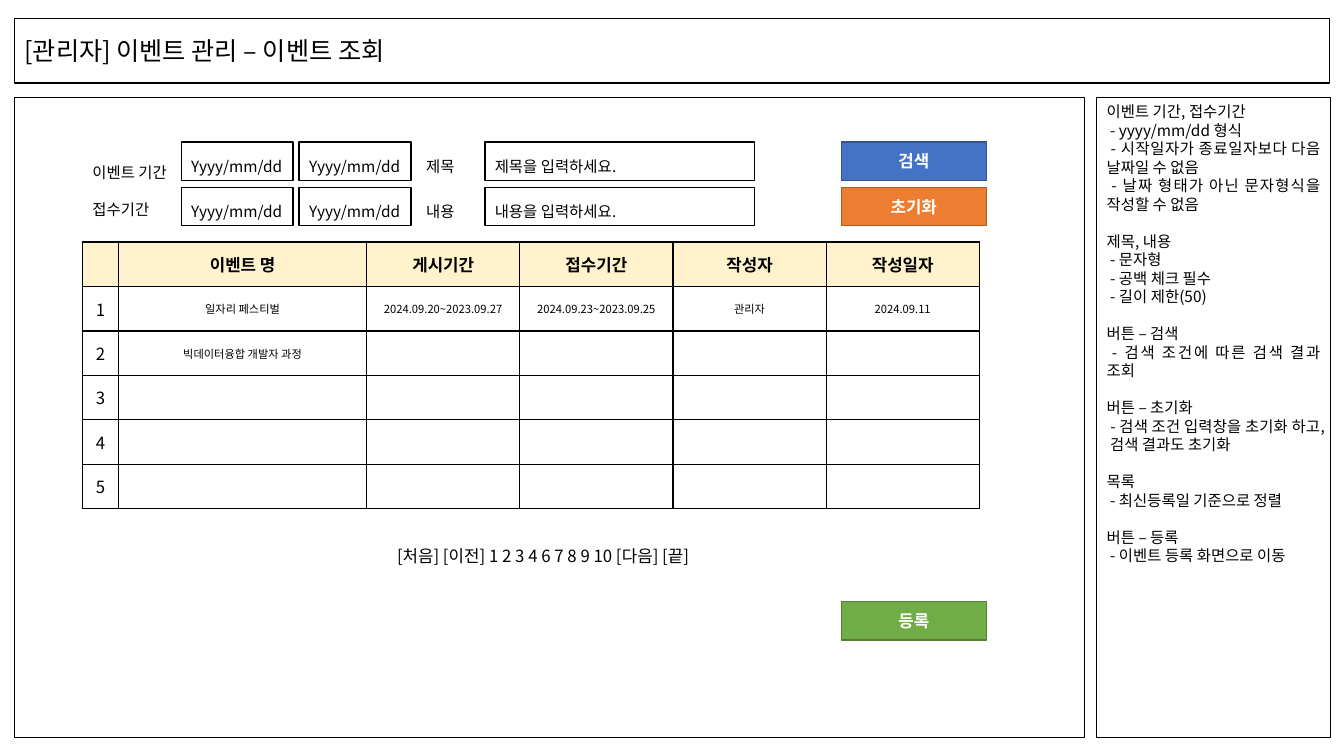
import pptx
import pptx.dml.color
import pptx.enum.shapes
import pptx.enum.text
import pptx.oxml.ns
import pptx.util
from lxml import etree

Cm, Pt = pptx.util.Cm, pptx.util.Pt
qn = pptx.oxml.ns.qn
RGB = pptx.dml.color.RGBColor.from_string
ALIGN = pptx.enum.text.PP_ALIGN
ANCHOR = pptx.enum.text.MSO_ANCHOR

FONT = "Noto Sans CJK KR"
COLORS = {
    "black": "000000", "white": "FFFFFF", "header": "FFF2CC",
    "blue": "4472C4", "blue edge": "325491",
    "orange": "ED7D31", "orange edge": "AF5C24",
    "green": "70AD47", "green edge": "538035",
}


def write(frame, lines, size, align=ALIGN.LEFT, color="black", bold=False, spacing=None):
    """Fill a text frame with one paragraph per line."""
    for index, line in enumerate(lines):
        para = frame.paragraphs[0] if index == 0 else frame.add_paragraph()
        para.text = line
        para.alignment = align
        if spacing:
            para.line_spacing = Pt(spacing)
        para.font.size = Pt(size)
        para.font.bold = bold
        para.font.color.rgb = RGB(COLORS[color])
        para.font.name = FONT
        defaults = para._p.pPr.find(qn("a:defRPr"))
        etree.SubElement(defaults, qn("a:ea"), typeface=FONT)


def add_box(left, top, width, height, fill="white", edge="black"):
    """Draw a rectangle, lengths in centimetres."""
    box = page.shapes.add_shape(pptx.enum.shapes.MSO_SHAPE.RECTANGLE,
                                Cm(left), Cm(top), Cm(width), Cm(height))
    box.shadow.inherit = False
    box.fill.solid()
    box.fill.fore_color.rgb = RGB(COLORS[fill])
    box.line.color.rgb = RGB(COLORS[edge])
    box.line.width = Pt(1)
    box.text_frame.word_wrap = True
    box.text_frame.vertical_anchor = ANCHOR.MIDDLE
    return box


deck = pptx.Presentation()
deck.slide_width, deck.slide_height = Cm(33.87), Cm(19.05)
page = deck.slides.add_slide(deck.slide_layouts[5])

# Title bar
title = page.shapes.title
title.left, title.top, title.width, title.height = Cm(0.36), Cm(0.46), Cm(33.15), Cm(1.63)
title.fill.solid()
title.fill.fore_color.rgb = RGB(COLORS["white"])
title.line.color.rgb = RGB(COLORS["black"])
title.line.width = Pt(1)
title.text_frame.auto_size = pptx.enum.text.MSO_AUTO_SIZE.NONE
title.text_frame.vertical_anchor = ANCHOR.MIDDLE
write(title.text_frame, ["[관리자] 이벤트 관리 – 이벤트 조회"], 18)

# Screen area
add_box(0.36, 2.46, 26.97, 16.13)

# Description sidebar: the first line of each group is its heading
LINE = 13.2
groups = [
    ["이벤트 기간, 접수기간", " - yyyy/mm/dd 형식",
     " - 시작일자가 종료일자보다 다음 날짜일 수 없음",
     " - 날짜 형태가 아닌 문자형식을 작성할 수 없음"],
    ["제목, 내용", " - 문자형", " - 공백 체크 필수", " - 길이 제한(50)"],
    ["버튼 – 검색", " - 검색 조건에 따른 검색 결과 조회"],
    ["버튼 – 초기화", " - 검색 조건 입력창을 초기화 하고, 검색 결과도 초기화"],
    ["목록", " - 최신등록일 기준으로 정렬"],
    ["버튼 – 등록", " - 이벤트 등록 화면으로 이동"],
]
notes = add_box(27.64, 2.46, 5.89, 16.13).text_frame
notes.vertical_anchor = ANCHOR.TOP
write(notes, sum(groups, []), 11, ALIGN.JUSTIFY, spacing=LINE)
headings = [group[0] for group in groups[1:]]
for para in notes.paragraphs:
    if para.text in headings:
        para.space_before = Pt(LINE)

# Event table
events = [
    ["", "이벤트 명", "게시기간", "접수기간", "작성자", "작성일자"],
    ["1", "일자리 페스티벌", "2024.09.20~2023.09.27", "2024.09.23~2023.09.25",
     "관리자", "2024.09.11"],
    ["2", "빅데이터융합 개발자 과정", "", "", "", ""],
] + [[str(number), "", "", "", "", ""] for number in (3, 4, 5)]
widths = [0.91, 6.25] + [3.86] * 4
ROW = 1.12
table = page.shapes.add_table(len(events), len(widths), Cm(2.08), Cm(6.1),
                              Cm(sum(widths)), Cm(ROW * len(events))).table
table.first_row = table.horz_banding = False
for column, width in zip(table.columns, widths):
    column.width = Cm(width)
for row_index, values in enumerate(events):
    table.rows[row_index].height = Cm(ROW)
    is_header = row_index == 0
    for column_index, value in enumerate(values):
        cell = table.cell(row_index, column_index)
        cell.vertical_anchor = ANCHOR.MIDDLE
        properties = cell._tc.get_or_add_tcPr()
        for side in ("lnL", "lnR", "lnT", "lnB"):
            border = etree.SubElement(properties, qn("a:" + side), w=str(Pt(1)))
            paint = etree.SubElement(border, qn("a:solidFill"))
            etree.SubElement(paint, qn("a:srgbClr"), val=COLORS["black"])
        cell.fill.solid()
        cell.fill.fore_color.rgb = RGB(COLORS["header" if is_header else "white"])
        if value:
            size = 12 if is_header or column_index == 0 else 8
            write(cell.text_frame, [value], size, ALIGN.CENTER, bold=is_header)

# Page links
pager = add_box(5.05, 13.56, 17.27, 0.89, edge="white")
write(pager.text_frame, ["[처음] [이전] 1 2 3 4 6 7 8 9 10 [다음] [끝]"], 12, ALIGN.CENTER)

# Search form
FIELD = 0.97
periods = add_box(2.08, 3.58, 6.73, 1.98, edge="white")
write(periods.text_frame, ["이벤트 기간", "접수기간"], 11, spacing=2 * LINE)
for top, label in ((3.58, "제목"), (4.72, "내용")):
    for left, width, text, edge in (
            (10.49, 6.73, label, "white"),
            (12.22, 6.8, label + "을 입력하세요.", "black"),
            (4.57, 2.82, "Yyyy/mm/dd", "black"),
            (7.54, 2.82, "Yyyy/mm/dd", "black")):
        field = add_box(left, top, width, FIELD, edge=edge)
        write(field.text_frame, [text], 11, spacing=1.5 * LINE)

# Buttons
for top, text, color in ((3.58, "검색", "blue"), (4.72, "초기화", "orange"),
                         (15.16, "등록", "green")):
    button = add_box(21.2, top, 3.66, FIELD, color, color + " edge")
    write(button.text_frame, [text], 12, ALIGN.CENTER, "white", True)

deck.save("out.pptx")
